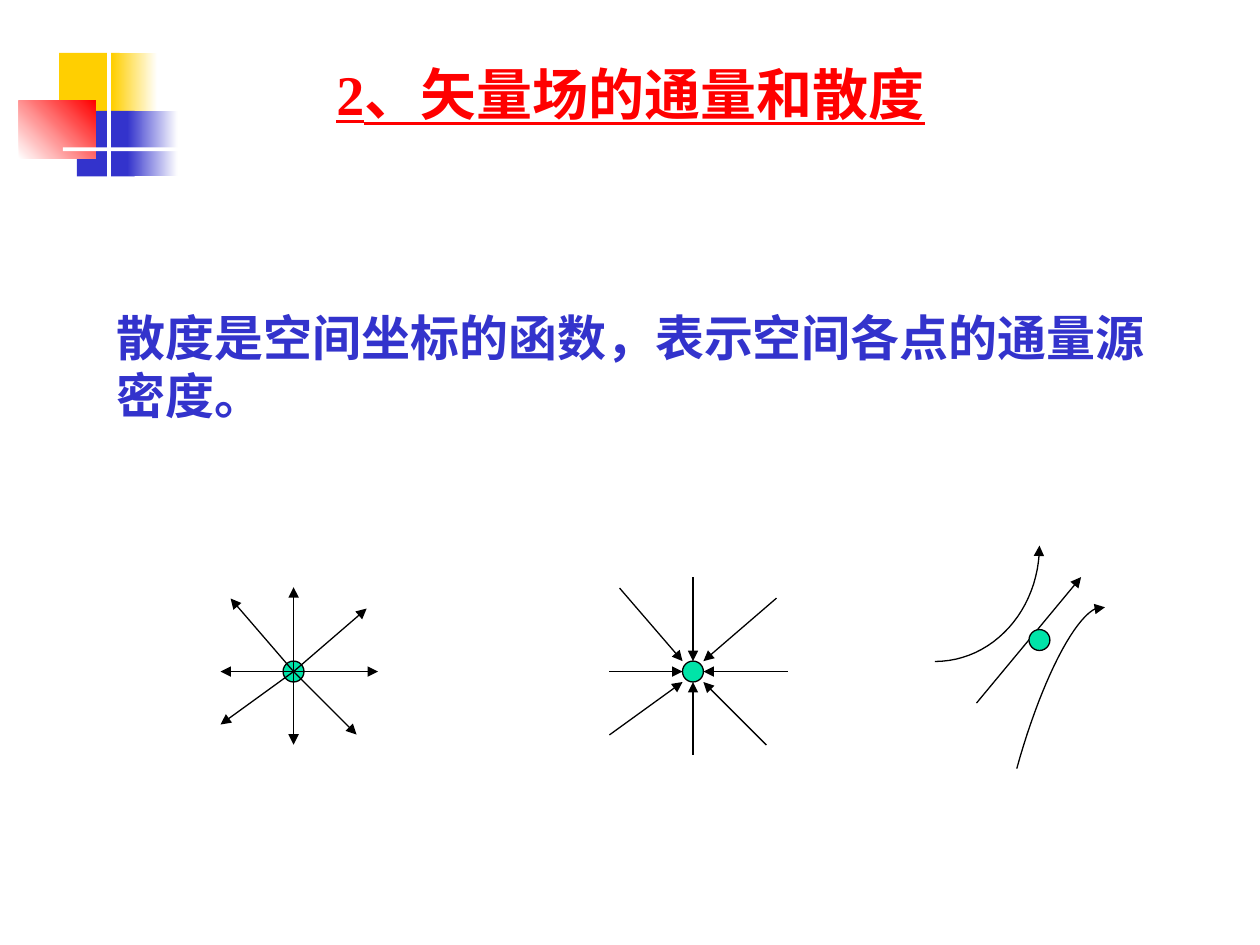
from lxml.etree import SubElement
from pptx import Presentation
from pptx.dml.color import RGBColor
from pptx.enum.shapes import MSO_CONNECTOR, MSO_SHAPE
from pptx.enum.text import MSO_ANCHOR, PP_ALIGN
from pptx.oxml.ns import qn
from pptx.util import Inches, Pt

# Content
TITLE = "2、矢量场的通量和散度"
STATEMENT = "散度是空间坐标的函数，表示空间各点的通量源密度。"
CJK_FONT = "Noto Sans CJK SC"

# left, top, width, height, colours (two make a gradient), gradient angle
DECORATION = [
    (0.47, 0.42, 0.48, 0.52, ["FFCF01"], 0),
    (0.89, 0.42, 0.36, 0.52, ["FFCF01", "FFFFFF"], 0),
    (0.61, 0.88, 0.46, 0.52, ["3333CC"], 0),
    (1.01, 0.88, 0.40, 0.52, ["3333CC", "FFFFFF"], 0),
    (0.15, 0.80, 0.61, 0.46, ["FFFFFF", "FF0000"], 45),
    (0.85, 0.30, 0.03, 1.15, ["FFFFFF"], 0),
    (0.50, 1.17, 9.00, 0.03, ["FFFFFF"], 0),
]

DOT_RADIUS = 0.083
SOURCE, SINK, PASSING = (2.33, 5.33), (5.5, 5.33), (8.25, 5.08)
# Reach of each field line from the point
RAYS = [(0.58, -0.5), (0.5, 0.5), (-0.58, 0.42), (-0.5, -0.58),
        (0.67, 0), (0, -0.67), (0, 0.58), (-0.58, 0)]
# Bezier control points of the curved field lines
CURVES = [
    [(7.42, 5.25), (7.88, 5.25), (8.25, 4.84), (8.25, 4.33)],
    [(8.07, 6.1), (8.28, 5.34), (8.59, 4.77), (8.77, 4.82)],
]
CURVE_STEPS = 24


def colour(value):
    return RGBColor.from_string(value)


def write(shape, text, size, color, font, align=PP_ALIGN.LEFT,
          anchor=MSO_ANCHOR.TOP, underline=False):
    frame = shape.text_frame
    frame.word_wrap = True
    frame.vertical_anchor = anchor
    frame.margin_left = frame.margin_right = Inches(0.1)
    frame.margin_top = frame.margin_bottom = Inches(0.05)
    paragraph = frame.paragraphs[0]
    paragraph.alignment = align
    paragraph.space_before = Pt(0)
    run = paragraph.add_run()
    run.text = text
    run.font.size = Pt(size)
    run.font.bold = True
    run.font.underline = underline
    run.font.name = font
    run.font.color.rgb = colour(color)
    SubElement(run.font._element, qn("a:ea")).set("typeface", CJK_FONT)


def place(shape, left, top, width, height):
    shape.left, shape.top = Inches(left), Inches(top)
    shape.width, shape.height = Inches(width), Inches(height)


def add_block(shapes, left, top, width, height, colors, angle):
    block = shapes.add_shape(MSO_SHAPE.RECTANGLE, Inches(left), Inches(top),
                             Inches(width), Inches(height))
    block.shadow.inherit = False
    block.line.fill.background()
    if len(colors) == 1:
        block.fill.solid()
        block.fill.fore_color.rgb = colour(colors[0])
        return
    block.fill.gradient()
    block.fill.gradient_angle = angle
    for stop, value in zip(block.fill.gradient_stops, colors):
        stop.color.rgb = colour(value)


def outline(shape, arrow=None):
    shape.line.color.rgb = colour("000000")
    shape.line.width = Pt(0.75)
    if arrow:
        SubElement(shape.line._get_or_add_ln(), qn(arrow)).set("type", "triangle")


def add_dot(shapes, center):
    x, y = center
    dot = shapes.add_shape(MSO_SHAPE.OVAL, Inches(x - DOT_RADIUS), Inches(y - DOT_RADIUS),
                           Inches(2 * DOT_RADIUS), Inches(2 * DOT_RADIUS))
    dot.shadow.inherit = False
    dot.fill.solid()
    dot.fill.fore_color.rgb = colour("00E4A8")
    outline(dot)


def add_field_line(shapes, start, end, arrow="a:tailEnd"):
    field_line = shapes.add_connector(
        MSO_CONNECTOR.STRAIGHT, *(Inches(v) for v in (*start, *end)))
    outline(field_line, arrow)
    SubElement(field_line._element.spPr, qn("a:effectLst"))


def bezier_point(controls, t):
    weights = ((1 - t) ** 3, 3 * t * (1 - t) ** 2, 3 * t ** 2 * (1 - t), t ** 3)
    return tuple(Inches(sum(w * point[axis] for w, point in zip(weights, controls)))
                 for axis in (0, 1))


def add_curve(shapes, controls):
    points = [bezier_point(controls, i / CURVE_STEPS) for i in range(CURVE_STEPS + 1)]
    builder = shapes.build_freeform(*points[0])
    builder.add_line_segments(points[1:], close=False)
    curve = builder.convert_to_shape()
    curve.shadow.inherit = False
    curve.fill.background()
    outline(curve, "a:tailEnd")


def sign(value):
    return (value > 0) - (value < 0)


def main():
    prs = Presentation()
    prs.slide_width, prs.slide_height = Inches(10), Inches(7.5)
    slide = prs.slides.add_slide(prs.slide_layouts[5])
    shapes = slide.shapes

    # Corner decoration
    for block in DECORATION:
        add_block(shapes, *block)

    # Title and statement
    place(shapes.title, 2.42, 0.42, 5.17, 0.63)
    write(shapes.title, TITLE, size=32, color="FF0000", font="Times New Roman",
          align=PP_ALIGN.CENTER, underline=True)
    statement = shapes.add_textbox(Inches(0.83), Inches(1.92), Inches(8.5), Inches(1.5))
    write(statement, STATEMENT, size=28, color="3333CC", font=CJK_FONT,
          anchor=MSO_ANCHOR.BOTTOM)

    # Positive source: lines leave the point
    add_dot(shapes, SOURCE)
    for dx, dy in RAYS:
        add_field_line(shapes, SOURCE, (SOURCE[0] + dx, SOURCE[1] + dy))

    # Negative source: the same lines, moved off the dot, end at it
    add_dot(shapes, SINK)
    for dx, dy in RAYS:
        near = (SINK[0] + sign(dx) * DOT_RADIUS, SINK[1] + sign(dy) * DOT_RADIUS)
        add_field_line(shapes, near, (near[0] + dx, near[1] + dy), arrow="a:headEnd")

    # No source: lines pass by the point
    add_field_line(shapes, (7.75, 5.58), (8.58, 4.58))
    for controls in CURVES:
        add_curve(shapes, controls)
    add_dot(shapes, PASSING)

    prs.save("out.pptx")


if __name__ == "__main__":
    main()
